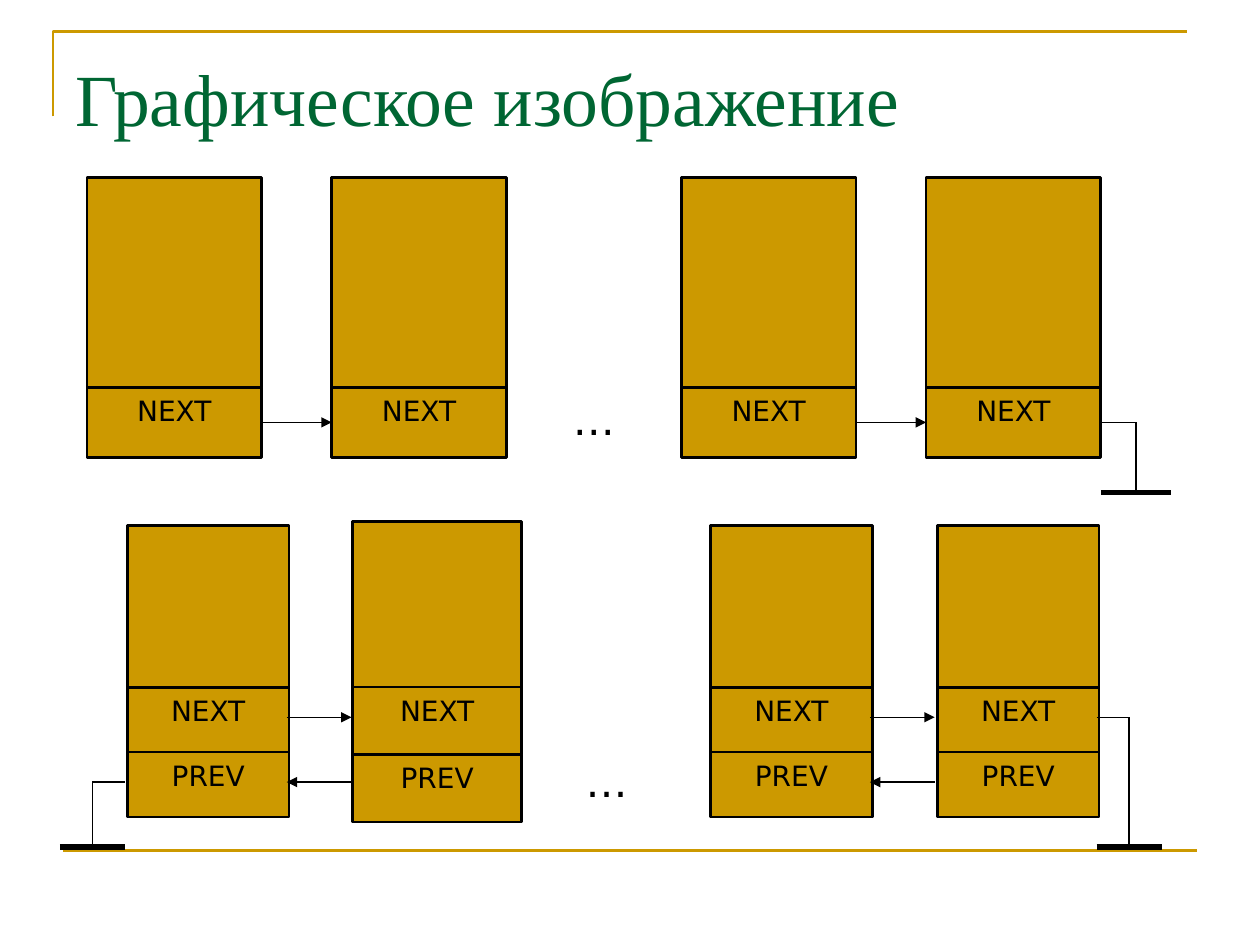
from dataclasses import dataclass

from lxml.etree import SubElement
from pptx import Presentation
from pptx.dml.color import RGBColor
from pptx.enum.shapes import MSO_CONNECTOR, MSO_SHAPE
from pptx.enum.text import MSO_ANCHOR, PP_ALIGN
from pptx.oxml.ns import qn
from pptx.util import Inches, Pt

W, H = Inches(10), Inches(7.5)
COLORS = {"gold": "CC9900", "green": "006633", "black": "000000"}
SANS, SERIF = "DejaVu Sans", "Times New Roman"


@dataclass
class Grid:
    """Square grid: origin and cell size in inches."""
    left: float
    top: float
    unit: float

    def at(self, col, row):
        return Inches(self.left + col * self.unit), Inches(self.top + row * self.unit)

    def size(self, cols, rows):
        return Inches(cols * self.unit), Inches(rows * self.unit)


def color(name):
    return RGBColor.from_string(COLORS[name])


def style_line(sp, name, width):
    sp.line.color.rgb = color(name)
    sp.line.width = Pt(width)


def write(sp, text, size, font=SANS, name="black", align=PP_ALIGN.CENTER):
    tf = sp.text_frame
    tf.word_wrap = True
    tf.vertical_anchor = MSO_ANCHOR.TOP
    p = tf.paragraphs[0]
    p.text, p.alignment = text, align
    p.font.size, p.font.name = Pt(size), font
    p.font.color.rgb = color(name)


def add_text(slide, at, size, text, *style):
    sp = slide.shapes.add_textbox(*at, *size)
    write(sp, text, *style)
    return sp


def add_line(slide, start, end, width=0.75, name="black", arrow=False):
    sp = slide.shapes.add_connector(MSO_CONNECTOR.STRAIGHT, *start, *end)
    style_line(sp, name, width)
    if arrow:
        SubElement(sp.line._get_or_add_ln(), qn("a:tailEnd"), type="triangle")
    SubElement(sp._element.spPr, qn("a:effectLst"))
    return sp


def add_node(slide, grid, col, data_rows, labels):
    """Stack a data cell and one cell per pointer; return the cells."""
    cells, row = [], 0
    for label, rows in [("", data_rows)] + [(label, 2) for label in labels]:
        sp = slide.shapes.add_shape(MSO_SHAPE.RECTANGLE, *grid.at(col, row),
                                    *grid.size(5, rows))
        sp.shadow.inherit = False
        sp.fill.solid()
        sp.fill.fore_color.rgb = color("gold")
        style_line(sp, "black", 1.5)
        if label:
            write(sp, label, 16)
        cells.append(sp)
        row += rows
    return cells


def add_null(slide, grid, start, col, row, end_row):
    """Lead from a pointer sideways and down to a thick bar."""
    add_line(slide, grid.at(start, row), grid.at(col, row))
    add_line(slide, grid.at(col, row), grid.at(col, end_row))
    add_line(slide, grid.at(col - 1, end_row), grid.at(col + 1, end_row), 3)


def add_frame(slide):
    # Corner rule at the top and straight rule at the bottom
    left, top = int(W * 0.042), int(H * 0.033)
    fb = slide.shapes.build_freeform(left, int(H * 0.123))
    fb.add_line_segments([(left, top), (int(W * 0.942), top)], close=False)
    sp = fb.convert_to_shape()
    sp.shadow.inherit = False
    sp.fill.background()
    style_line(sp, "gold", 1.5)
    y = int(H * 0.9)
    add_line(slide, (int(W * 0.05), y), (int(W * 0.95), y), 1.5, "gold")

    # Title
    title = add_text(slide, (int(W * 0.05), int(H * 0.04)), (int(W * 0.9), int(H / 6)),
                     "Графическое изображение", 42, SERIF, "green", PP_ALIGN.LEFT)
    title.text_frame.margin_top = Inches(0.12)


def add_single_list(slide):
    grid = Grid(0.69, 1.41, 1.11 / 4)
    pointers = [add_node(slide, grid, col, 6, ["NEXT"])[-1] for col in (0, 7, 17, 24)]
    for i, col in ((0, 5), (2, 22)):
        link = add_line(slide, grid.at(col, 7), grid.at(col + 2, 7), arrow=True)
        link.begin_connect(pointers[i], 3)
        link.end_connect(pointers[i + 1], 1)
    add_null(slide, grid, 29, 30, 7, 9)
    add_text(slide, grid.at(13, 6), grid.size(3, 3), "…", 24)


def add_double_list(slide):
    unit = 1.8 / 7
    labels = ["NEXT", "PREV"]
    nodes = Grid(1.01, 4.17, unit)
    links = Grid(0.99, 4.15, unit)  # links sit slightly up and left of the nodes
    for col in (0, 18, 25):
        add_node(slide, nodes, col, 5, labels)
    for col in (5, 23):
        add_line(slide, links.at(col, 6), links.at(col + 2, 6), arrow=True)
        add_line(slide, links.at(col + 2, 8), links.at(col, 8), arrow=True)
    add_null(slide, links, 0, -1, 8, 10)
    add_null(slide, links, 30, 31, 6, 10)
    add_text(slide, links.at(13.25, 7), links.size(3.25, 3), "…", 24)

    # The second node is slightly larger and lies over the links
    add_node(slide, Grid(2.8, 4.14, 1.34 / 5), 0, 4.9, labels)


def main():
    prs = Presentation()
    prs.slide_width, prs.slide_height = W, H
    slide = prs.slides.add_slide(prs.slide_layouts[6])
    add_frame(slide)
    add_single_list(slide)
    add_double_list(slide)
    prs.save("out.pptx")


if __name__ == "__main__":
    main()
